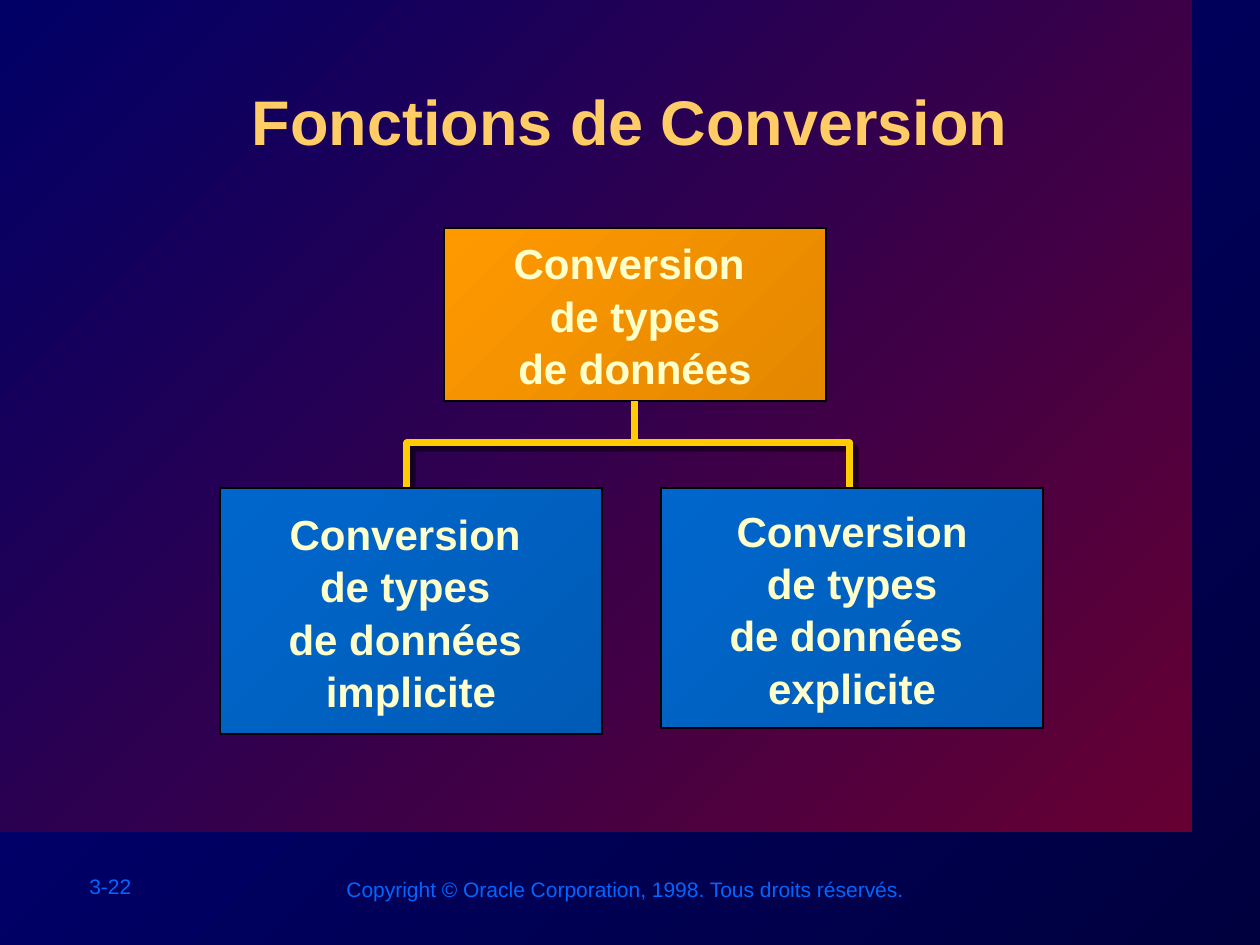
import lxml.etree
import pptx
import pptx.dml.color
import pptx.enum.shapes
import pptx.enum.text
import pptx.oxml.ns
import pptx.util

PX = 914400 / 126
COLORS = {
    "title": "FFCC66", "label": "FFFFCC", "footer": "0066FF",
    "line": "FFCC00", "border": "000000",
}
GRADIENTS = {
    "background": ("00003F", "000080"),
    "panel": ("660033", "000066"),
    "blue": ("005BB6", "0066CC"),
    "orange": ("E48800", "FF9900"),
}
ANCHOR = pptx.enum.text.MSO_ANCHOR
AUTO_SIZE = pptx.enum.text.MSO_AUTO_SIZE
CENTER = pptx.enum.text.PP_ALIGN.CENTER
RECTANGLE = pptx.enum.shapes.MSO_SHAPE.RECTANGLE


def emu(*lengths):
    return [pptx.util.Emu(round(length * PX)) for length in lengths]


def rgb(name):
    return pptx.dml.color.RGBColor.from_string(COLORS[name])


def set_values(target, values):
    for name, value in values.items():
        setattr(target, name, value)


def set_gradient(fill, name):
    """Run the gradient from the bottom right to the top left."""
    fill.gradient()
    fill.gradient_angle = 135
    for stop, color in zip(fill.gradient_stops, GRADIENTS[name]):
        stop.color.rgb = pptx.dml.color.RGBColor.from_string(color)


def make_effects(shadow_distance=None):
    """Return an effect list, empty unless a shadow distance in points is given."""
    effects = lxml.etree.Element(pptx.oxml.ns.qn("a:effectLst"))
    if shadow_distance:
        shadow = lxml.etree.SubElement(
            effects, pptx.oxml.ns.qn("a:outerShdw"),
            dist=str(pptx.util.Pt(shadow_distance)), dir="2700000",
            algn="ctr", rotWithShape="0")
        color = lxml.etree.SubElement(
            shadow, pptx.oxml.ns.qn("a:srgbClr"), val="000000")
        lxml.etree.SubElement(color, pptx.oxml.ns.qn("a:alpha"), val="50000")
    return effects


def write_lines(frame, lines, size, color, bold=False, **para_values):
    for index, line in enumerate(lines):
        para = frame.paragraphs[0] if index == 0 else frame.add_paragraph()
        set_values(para, para_values)
        span = para.add_run()
        span.text = line
        set_values(span.font, {
            "size": pptx.util.Pt(size), "name": "Arial", "bold": bold})
        span.font.color.rgb = rgb(color)


def add_rectangle(slide, area, gradient):
    box = slide.shapes.add_shape(RECTANGLE, *emu(*area))
    box.shadow.inherit = False
    set_gradient(box.fill, gradient)
    box.line.fill.background()
    return box


def add_label_box(slide, area, gradient, lines):
    box = add_rectangle(slide, area, gradient)
    box.line.color.rgb = rgb("border")
    box.line.width = pptx.util.Pt(1)
    set_values(box.text_frame, {
        "word_wrap": False, "vertical_anchor": ANCHOR.MIDDLE})
    write_lines(box.text_frame, lines, 24, "label", bold=True,
                alignment=CENTER, line_spacing=1.04)
    return box


def add_footer(slide, area, text):
    box = slide.shapes.add_textbox(*emu(*area))
    set_values(box.text_frame, {
        "word_wrap": False, "auto_size": AUTO_SIZE.SHAPE_TO_FIT_TEXT})
    write_lines(box.text_frame, [text], 12, "footer")


def format_title(slide, area, text):
    title = slide.shapes.title
    set_values(title, dict(zip(("left", "top", "width", "height"), emu(*area))))
    set_values(title.text_frame, {
        "auto_size": AUTO_SIZE.NONE, "vertical_anchor": ANCHOR.TOP,
        "margin_top": emu(9)[0]})
    write_lines(title.text_frame, [text], 36, "title", bold=True,
                alignment=CENTER, line_spacing=1.04)
    properties = title.text_frame.paragraphs[0].runs[0].font.fill
    properties = title.element.find(".//" + pptx.oxml.ns.qn("a:rPr"))
    fill = properties.find(pptx.oxml.ns.qn("a:solidFill"))
    fill.addnext(make_effects(3))
    slide.shapes.element.append(title.element)  # in front of the panel


def format_branch(branch):
    branch.line.color.rgb = rgb("line")
    branch.line.width = pptx.util.Pt(4)


def add_fork(slide, points):
    start, *others = points
    builder = slide.shapes.build_freeform(*start, scale=PX)
    builder.add_line_segments(others, close=False)
    fork = builder.convert_to_shape()
    fork.fill.background()
    format_branch(fork)
    fork.element.spPr.append(make_effects(4.2))


def add_stem(slide, parent, end):
    stem = slide.shapes.add_connector(
        pptx.enum.shapes.MSO_CONNECTOR.STRAIGHT, *emu(*end, *end))
    stem.begin_connect(parent, 2)
    format_branch(stem)
    stem.element.spPr.append(make_effects())


def main():
    deck = pptx.Presentation()
    deck.slide_width, deck.slide_height = emu(1260, 945)
    slide = deck.slides.add_slide(deck.slide_layouts[5])
    set_gradient(slide.background.fill, "background")

    add_rectangle(slide, (0, 0, 1192, 832), "panel")
    add_footer(slide, (77, 867, 140, 38), "3-22")
    add_footer(slide, (334, 870, 587, 38),
               "Copyright © Oracle Corporation, 1998. Tous droits réservés.")
    add_fork(slide, [(407, 523), (407, 443), (850, 443), (850, 509)])
    format_title(slide, (127, 71, 1006, 121), "Fonctions de Conversion")
    add_label_box(slide, (220, 488, 382, 246), "blue",
                  ["Conversion ", "de types ", "de données ", "implicite"])
    add_label_box(slide, (661, 488, 382, 240), "blue",
                  ["Conversion", "de types", "de données ", "explicite"])
    root = add_label_box(slide, (444, 228, 382, 173), "orange",
                         ["Conversion ", "de types", "de données"])
    add_stem(slide, root, (635, 443))
    deck.save("out.pptx")


if __name__ == "__main__":
    main()
